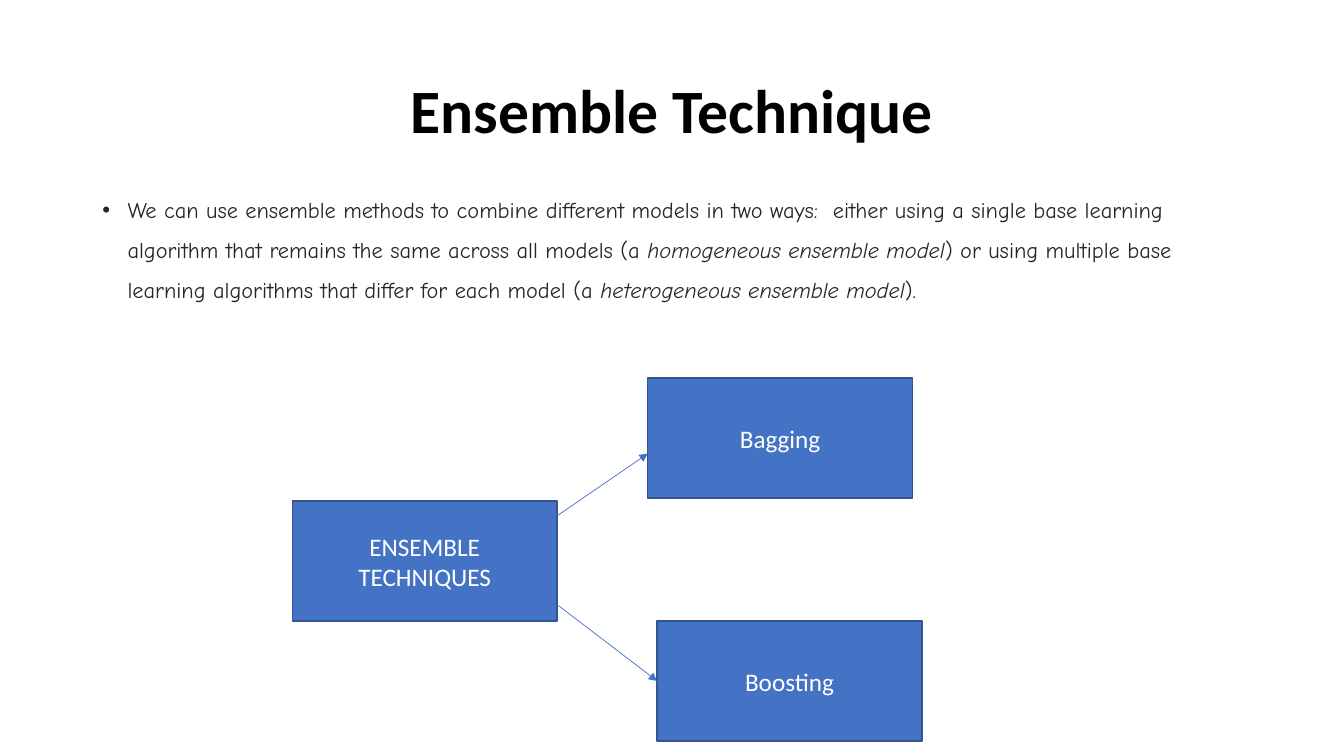
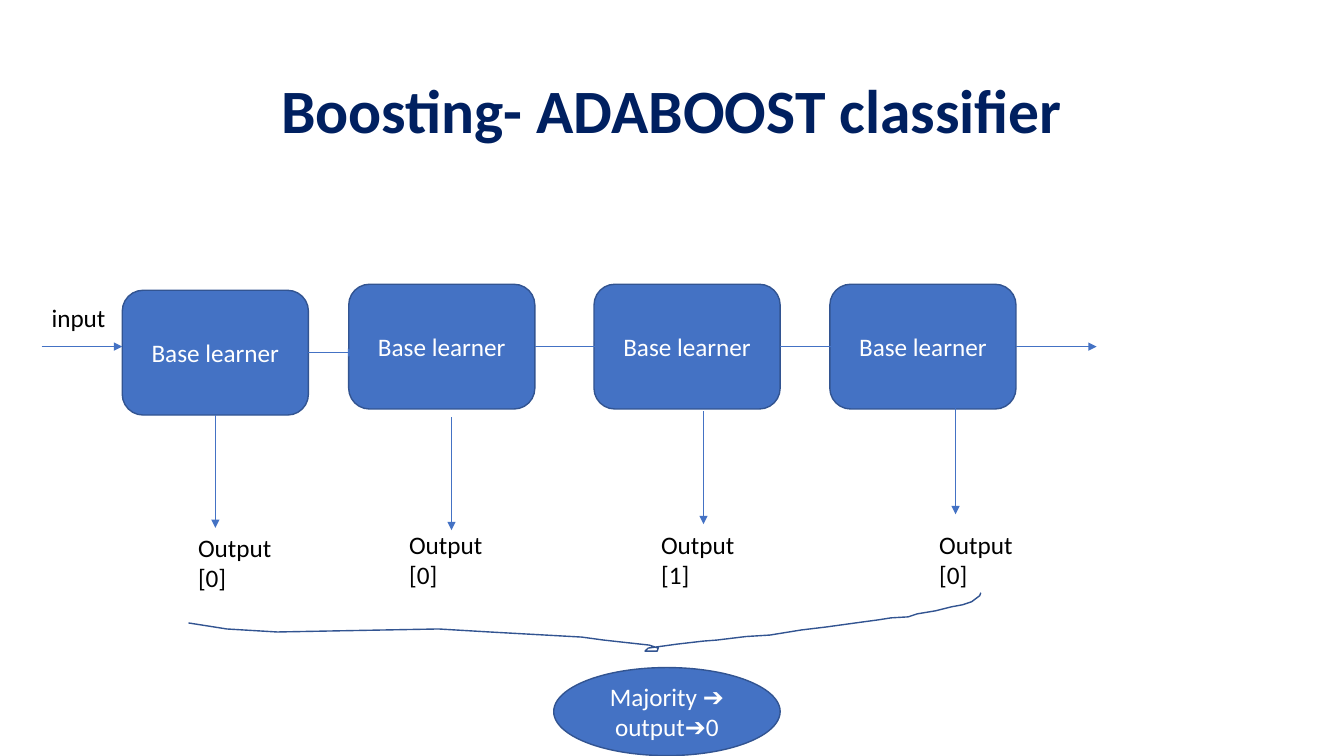
from lxml import etree
from pptx import Presentation
from pptx import util as u
from pptx.dml.color import RGBColor
from pptx.enum import shapes, text
from pptx.oxml.ns import qn

BLACK = RGBColor(0x00, 0x00, 0x00)
WHITE = RGBColor(0xFF, 0xFF, 0xFF)
CHARCOAL = RGBColor(0x26, 0x26, 0x26)
NAVY = RGBColor(0x00, 0x20, 0x60)
BLUE = RGBColor(0x44, 0x72, 0xC4)
EDGE = RGBColor(0x32, 0x54, 0x91)

TOP, LEFT, BOTTOM, RIGHT = range(4)


def write_text(frame, content, size=18, font="Calibri", color=BLACK, bold=False,
               align=text.PP_ALIGN.LEFT, anchor=text.MSO_ANCHOR.TOP, spacing=1.0, bullet=None):
    frame.word_wrap = True
    frame.auto_size = text.MSO_AUTO_SIZE.NONE
    frame.vertical_anchor = anchor
    for number, line in enumerate(content.split("\n")):
        paragraph = frame.add_paragraph() if number else frame.paragraphs[0]
        paragraph.alignment = align
        paragraph.line_spacing = spacing
        if bullet:
            properties = paragraph._p.get_or_add_pPr()
            properties.set("marL", str(u.Inches(0.25)))
            properties.set("indent", str(-u.Inches(0.25)))
            etree.SubElement(properties, qn("a:buFont")).set("typeface", "Arial")
            etree.SubElement(properties, qn("a:buChar")).set("char", bullet)
        for position, piece in enumerate(line.split("*")):
            run = paragraph.add_run()
            run.text = piece
            run.font.size = u.Pt(size)
            run.font.name = font
            run.font.bold = bold
            run.font.italic = position % 2 == 1
            run.font.color.rgb = color


class Deck:
    def __init__(self):
        self.show = Presentation()
        self.show.slide_width = u.Inches(13.333)
        self.show.slide_height = u.Inches(7.5)
        self.slide = None

    def across(self, percent):
        return round(self.show.slide_width * percent / 100)

    def down(self, percent):
        return round(self.show.slide_height * percent / 100)

    def area(self, left, top, width, height):
        return self.across(left), self.down(top), self.across(width), self.down(height)

    def new_slide(self, heading, color):
        self.slide = self.show.slides.add_slide(self.show.slide_layouts[5])
        title = self.slide.shapes.title
        title.left, title.top, title.width, title.height = self.area(6.88, 5.33, 86.25, 19.33)
        write_text(title.text_frame, heading, size=44, color=color, bold=True, spacing=0.9,
                   align=text.PP_ALIGN.CENTER, anchor=text.MSO_ANCHOR.MIDDLE)

    def label(self, area, content, **style):
        box = self.slide.shapes.add_textbox(*self.area(*area))
        write_text(box.text_frame, content, **style)

    def node(self, kind, area, content):
        node = self.slide.shapes.add_shape(kind, *self.area(*area))
        node.shadow.inherit = False
        node.fill.solid()
        node.fill.fore_color.rgb = BLUE
        node.line.color.rgb = EDGE
        node.line.width = u.Pt(1)
        write_text(node.text_frame, content, color=WHITE,
                   align=text.PP_ALIGN.CENTER, anchor=text.MSO_ANCHOR.MIDDLE)
        return node

    def arrow(self, start, end, source=None, target=None):
        arrow = self.slide.shapes.add_connector(
            shapes.MSO_CONNECTOR.STRAIGHT,
            self.across(start[0]), self.down(start[1]), self.across(end[0]), self.down(end[1]))
        if source:
            arrow.begin_connect(*source)
        if target:
            arrow.end_connect(*target)
        arrow.line.color.rgb = BLUE
        arrow.line.width = u.Pt(0.5)
        etree.SubElement(arrow.line._get_or_add_ln(), qn("a:tailEnd")).set("type", "triangle")
        etree.SubElement(arrow._element.spPr, qn("a:effectLst"))

    def curve(self, points):
        start, *rest = [(self.across(x), self.down(y)) for x, y in points]
        builder = self.slide.shapes.build_freeform(*start)
        builder.add_line_segments(rest, close=False)
        curve = builder.convert_to_shape()
        curve.shadow.inherit = False
        curve.fill.background()
        curve.line.color.rgb = EDGE
        curve.line.width = u.Pt(1)


WAYS = ("We can use ensemble methods to combine different models in two ways:  either using a "
        "single base learning algorithm that remains the same across all models (a "
        "*homogeneous ensemble model*) or using multiple base learning algorithms that differ "
        "for each model (a *heterogeneous ensemble model*).")

BRACE = [
    (14.03, 82.4), (16.88, 83.2), (20.63, 83.6), (28.65, 83.33), (32.63, 83.2), (36.45, 83.6),
    (43.28, 84.27), (44.93, 84.67), (48.3, 85.33), (48.98, 85.73), (48.9, 86.13), (48, 86.13),
    (48.23, 85.73), (50.4, 85.2), (52.35, 84.8), (53.33, 84.67), (55.5, 84.2), (57.3, 84),
    (59.63, 83.33), (61.5, 82.93), (63.15, 82.53), (64.2, 82.27), (65.33, 82), (66.3, 81.73),
    (67.58, 81.6), (68.25, 81.2), (69.6, 80.8), (70.8, 80.27), (71.63, 80), (72.3, 79.6),
    (72.9, 78.8), (72.98, 78.4),
]


def ensemble_slide(deck):
    deck.new_slide("Ensemble Technique", BLACK)
    deck.label((6.88, 23.5, 86.25, 66.5), WAYS, size=16, font="Comic Neue", color=CHARCOAL,
               spacing=1.5, bullet="•")
    kind = shapes.MSO_SHAPE.RECTANGLE
    size = (19.7, 15.9)
    deck.node(kind, (21.75, 66.27, *size), "ENSEMBLE TECHNIQUES")
    deck.node(kind, (48.2, 50, *size), "Bagging")
    boosting = deck.node(kind, (48.9, 82.13, *size), "Boosting")
    deck.arrow((41.4, 68.3), (48.2, 60))
    deck.arrow((41.55, 80.1), (48.9, 90.1), target=(boosting, LEFT))


def adaboost_slide(deck):
    deck.new_slide("Boosting- ADABOOST classifier", NAVY)
    width, height, drop = 13.85, 16.5, 14.93
    corners = [(9.1, 38.4), (25.95, 37.6), (44.2, 37.6), (61.75, 37.6)]
    learners = [deck.node(shapes.MSO_SHAPE.ROUNDED_RECTANGLE, (*corner, width, height),
                          "Base learner") for corner in corners]

    deck.arrow((3.1, 45.85), (9.1, 45.85))
    for learner, (left, top), reach in zip(learners, corners, (26.5, 45.5, 64, 81.6)):
        middle = top + height / 2
        deck.arrow((left + width, middle), (reach, middle), source=(learner, RIGHT))
    deck.label((3.1, 39.35, 10.95, 5.35), "input")

    outputs = [(14, 69.7, "Output [0]"), (29.7, 69.3, "Output\n[0]"),
               (48.45, 69.3, "Output\n[1]"), (69.15, 69.3, "Output\n[0]")]
    for left, top, vote in outputs:
        deck.label((left, top, 7.8, 9.45), vote)

    first_middle = corners[0][0] + width / 2
    first_bottom = corners[0][1] + height
    deck.arrow((first_middle, first_bottom), (first_middle, first_bottom + drop),
               source=(learners[0], BOTTOM))
    for x, y in [(33.6, 55.2), (52.35, 54.4), (71.1, 53.1)]:
        deck.arrow((x, y), (x, y + drop))

    deck.curve(BRACE)
    deck.node(shapes.MSO_SHAPE.OVAL, (41.2, 88.3, 16.85, 11.65), "Majority ➔ output➔0")


def main():
    deck = Deck()
    ensemble_slide(deck)
    adaboost_slide(deck)
    deck.show.save("out.pptx")


if __name__ == "__main__":
    main()
